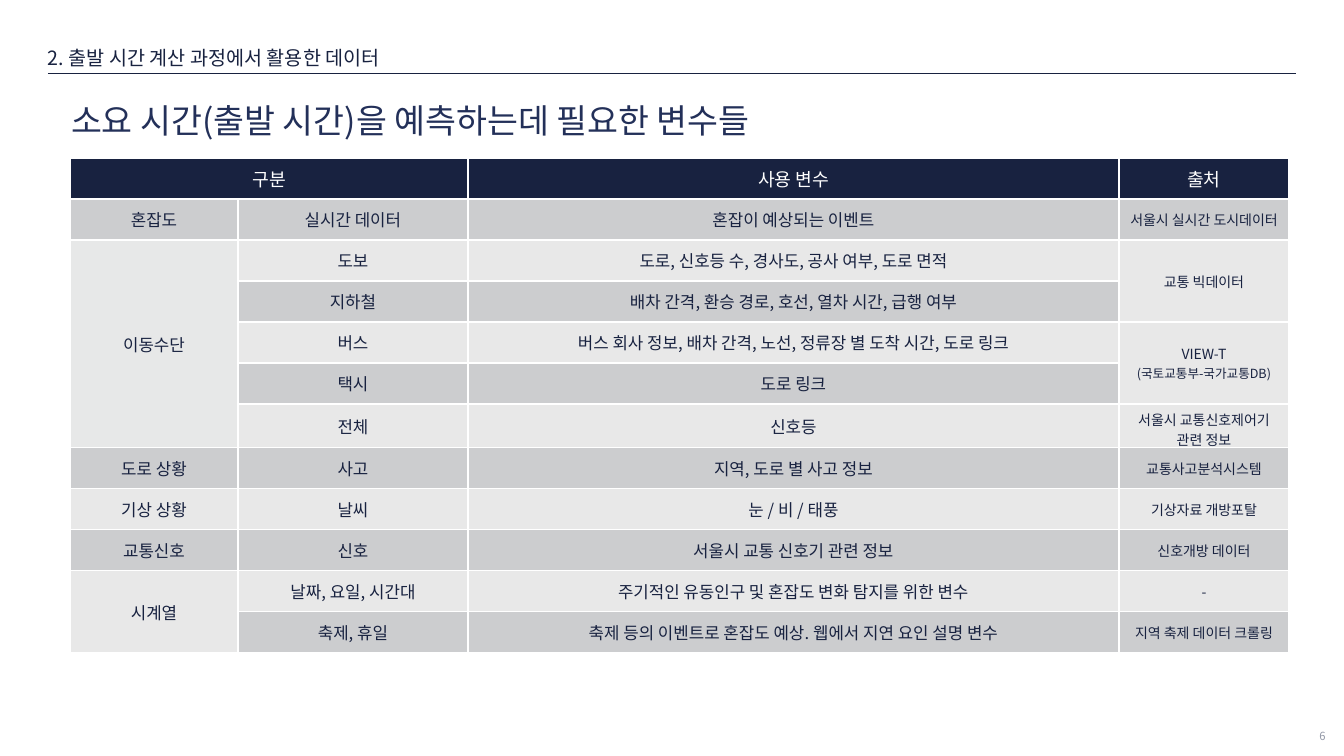
import pptx
import pptx.util
import pptx.dml.color
import pptx.enum.shapes
import pptx.enum.text
import pptx.oxml
import pptx.oxml.ns

RGB = pptx.dml.color.RGBColor
ALIGN = pptx.enum.text.PP_ALIGN
ANCHOR = pptx.enum.text.MSO_ANCHOR
NAVY = RGB(0x18, 0x22, 0x40)
INDIGO = RGB(0x23, 0x30, 0x59)
SLATE = RGB(0x92, 0x97, 0xA6)
WHITE = RGB(0xFF, 0xFF, 0xFF)
DARK = RGB(0xCC, 0xCD, 0xCF)
LIGHT = RGB(0xE8, 0xE8, 0xE8)
MIST = RGB(0xE7, 0xE8, 0xE8)
FONT = "Noto Sans CJK KR"
SCALE = 914400 / 100.8

COLS = [168, 230, 651, 170]
ROW = 41
# An empty string marks a cell covered by a merge.
ROWS = [
    ("구분", "", "사용 변수", "출처"),
    ("혼잡도", "실시간 데이터", "혼잡이 예상되는 이벤트", "서울시 실시간 도시데이터"),
    ("이동수단", "도보", "도로, 신호등 수, 경사도, 공사 여부, 도로 면적", "교통 빅데이터"),
    ("", "지하철", "배차 간격, 환승 경로, 호선, 열차 시간, 급행 여부", ""),
    ("", "버스", "버스 회사 정보, 배차 간격, 노선, 정류장 별 도착 시간, 도로 링크",
     "VIEW-T\v(국토교통부-국가교통DB)"),
    ("", "택시", "도로 링크", ""),
    ("", "전체", "신호등", "서울시 교통신호제어기\n관련 정보"),
    ("도로 상황", "사고", "지역, 도로 별 사고 정보", "교통사고분석시스템"),
    ("기상 상황", "날씨", "눈 / 비 / 태풍", "기상자료 개방포탈"),
    ("교통신호", "신호", "서울시 교통 신호기 관련 정보", "신호개방 데이터"),
    ("시계열", "날짜, 요일, 시간대", "주기적인 유동인구 및 혼잡도 변화 탐지를 위한 변수", "-"),
    ("", "축제, 휴일", "축제 등의 이벤트로 혼잡도 예상. 웹에서 지연 요인 설명 변수",
     "지역 축제 데이터 크롤링"),
]
# First and last cell of each merge, as (row, column).
MERGES = [((0, 0), (0, 1)), ((2, 0), (6, 0)), ((2, 3), (3, 3)),
          ((4, 3), (5, 3)), ((10, 0), (11, 0))]


def px(n):
    return pptx.util.Emu(round(n * SCALE))


def write(frame, text, size, color, align=ALIGN.LEFT):
    """Set the text of a frame and format its runs, Korean font included."""
    frame.text = text
    for para in frame.paragraphs:
        para.alignment = align
        for run in para.runs:
            font = run.font
            font.name, font.size, font.bold = FONT, pptx.util.Pt(size), False
            font.color.rgb = color
            east = pptx.oxml.parse_xml(
                f'<a:ea {pptx.oxml.ns.nsdecls("a")} typeface="{FONT}"/>')
            run.font._element.find(pptx.oxml.ns.qn("a:latin")).addnext(east)


def add_title(slide, text):
    title = slide.shapes.title
    title.left, title.top, title.width, title.height = map(px, (61, 88, 1159, 58))
    frame = title.text_frame
    write(frame, text, 24, INDIGO)
    frame.auto_size = pptx.enum.text.MSO_AUTO_SIZE.NONE
    frame.vertical_anchor = ANCHOR.BOTTOM
    frame.paragraphs[0].line_spacing = 0.9


def add_label(slide, box, text, size, color, align=ALIGN.LEFT, anchor=ANCHOR.TOP):
    frame = slide.shapes.add_textbox(*map(px, box)).text_frame
    frame.word_wrap = True
    frame.vertical_anchor = anchor
    write(frame, text, size, color, align)


def add_rule(slide, left, right, y):
    rule = slide.shapes.add_connector(
        pptx.enum.shapes.MSO_CONNECTOR.STRAIGHT, px(left), px(y), px(right), px(y))
    rule.line.color.rgb = NAVY
    rule.line.width = pptx.util.Pt(0.5)
    rule._element.spPr.append(pptx.oxml.parse_xml(
        f'<a:effectLst {pptx.oxml.ns.nsdecls("a")}/>'))


def fill_cell(cell, color):
    cell.fill.solid()
    cell.fill.fore_color.rgb = color


def add_grid(slide, left, top):
    grid = slide.shapes.add_table(
        len(ROWS), len(COLS), px(left), px(top),
        px(sum(COLS)), px(ROW * len(ROWS))).table
    for col, width in zip(grid.columns, COLS):
        col.width = px(width)
    for r, row in enumerate(ROWS):
        grid.rows[r].height = px(ROW)
        for c, text in enumerate(row):
            cell = grid.cell(r, c)
            cell.vertical_anchor = ANCHOR.MIDDLE
            if r == 0:
                fill, size, color = NAVY, 13, WHITE
            else:
                fill, color = (DARK if r % 2 else LIGHT), NAVY
                size = 10 if c == 3 else 12
            fill_cell(cell, fill)
            write(cell.text_frame, text, size, color, ALIGN.CENTER)
    for first, last in MERGES:
        grid.cell(*first).merge(grid.cell(*last))
    fill_cell(grid.cell(2, 0), MIST)
    note = grid.cell(4, 3).text_frame.paragraphs[0].runs[1]
    note.font.size = pptx.util.Pt(9)


def main():
    deck = pptx.Presentation()
    deck.slide_width, deck.slide_height = px(1344), px(756)
    slide = deck.slides.add_slide(deck.slide_layouts[5])
    add_rule(slide, 48, 1296, 73)
    add_title(slide, "소요 시간(출발 시간)을 예측하는데 필요한 변수들")
    add_label(slide, (1301, 716, 43, 40), "6", 8, SLATE, ALIGN.CENTER, ANCHOR.MIDDLE)
    add_label(slide, (38, 41, 435, 34), "2. 출발 시간 계산 과정에서 활용한 데이터", 14, NAVY)
    add_grid(slide, 70, 158)
    deck.save("out.pptx")


if __name__ == "__main__":
    main()
